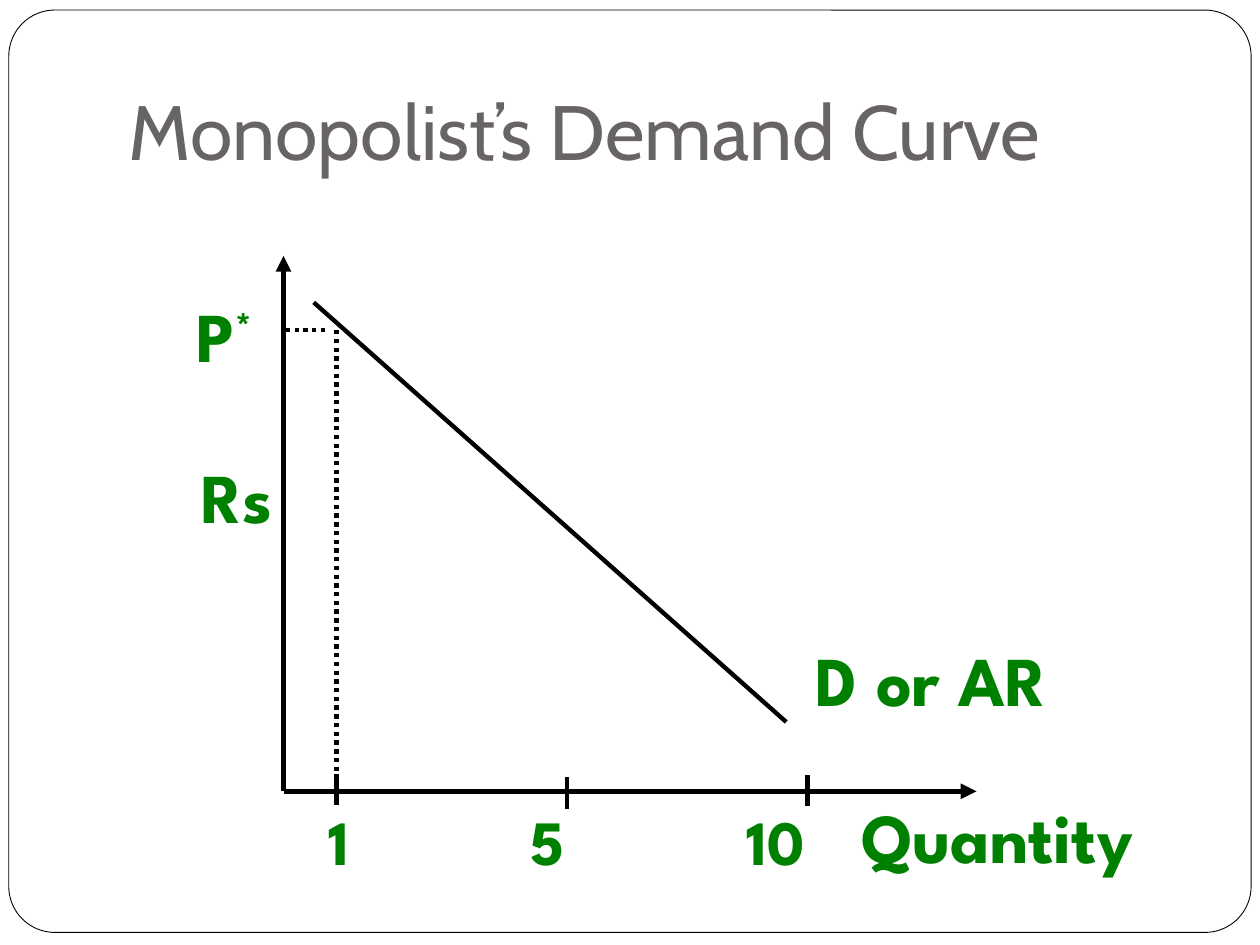
from dataclasses import dataclass

from lxml.etree import SubElement
from pptx import Presentation
from pptx.dml.color import RGBColor
from pptx.enum.dml import MSO_LINE
from pptx.enum.shapes import MSO_CONNECTOR, MSO_SHAPE
from pptx.enum.text import MSO_ANCHOR, PP_ALIGN
from pptx.oxml.ns import qn
from pptx.util import Inches, Pt


@dataclass(frozen=True)
class Theme:
    ink: RGBColor = RGBColor(0x00, 0x00, 0x00)
    paper: RGBColor = RGBColor(0xFF, 0xFF, 0xFF)
    title: RGBColor = RGBColor(0x69, 0x64, 0x64)
    label: RGBColor = RGBColor(0x00, 0x80, 0x00)
    title_font: str = "Cabin"
    label_font: str = "League Spartan"
    title_size: int = 44
    label_size: int = 40
    tick_size: int = 36
    frame_width: float = 0.5
    axis_width: float = 3
    curve_width: float = 2.5


class SlideBuilder:
    COLUMNS, ROWS = 100, 75

    def __init__(self, prs, theme):
        self.theme = theme
        self.cell_w = prs.slide_width / self.COLUMNS
        self.cell_h = prs.slide_height / self.ROWS
        self.s = prs.slides.add_slide(prs.slide_layouts[5])

    def point(self, col, row):
        return round(col * self.cell_w), round(row * self.cell_h)

    def box(self, col, row, cols, rows):
        return *self.point(col, row), *self.point(cols, rows)

    def style(self, r, font, size, color, bold=False):
        r.font.name = font
        r.font.size = Pt(size)
        r.font.bold = bold
        r.font.color.rgb = color

    def frame(self, col, row, cols, rows):
        sp = self.s.shapes.add_shape(
            MSO_SHAPE.ROUNDED_RECTANGLE, *self.box(col, row, cols, rows))
        sp.adjustments[0] = 0.05
        sp.shadow.inherit = False
        sp.fill.solid()
        sp.fill.fore_color.rgb = self.theme.paper
        sp.line.color.rgb = self.theme.ink
        sp.line.width = Pt(self.theme.frame_width)
        tree = self.s.shapes.element
        tree.remove(sp.element)
        tree.insert(2, sp.element)

    def title(self, text, col, row, cols, rows):
        sp = self.s.shapes.title
        sp.left, sp.top, sp.width, sp.height = self.box(col, row, cols, rows)
        tf = sp.text_frame
        tf.text = text
        tf.vertical_anchor = MSO_ANCHOR.BOTTOM
        tf.margin_bottom = Inches(0.1)
        p = tf.paragraphs[0]
        p.alignment = PP_ALIGN.LEFT
        self.style(p.runs[0], self.theme.title_font, self.theme.title_size,
                   self.theme.title)

    def line(self, start, end, width, dotted=False, arrow=False):
        sp = self.s.shapes.add_connector(
            MSO_CONNECTOR.STRAIGHT, *self.point(*start), *self.point(*end))
        sp.line.color.rgb = self.theme.ink
        sp.line.width = Pt(width)
        if dotted:
            sp.line.dash_style = MSO_LINE.ROUND_DOT
        if arrow:
            SubElement(sp.line._get_or_add_ln(), qn("a:tailEnd"), type="triangle")
        SubElement(sp.element.spPr, qn("a:effectLst"))

    def text(self, text, col, row, cols, rows, size, align, wrap=False):
        sp = self.s.shapes.add_textbox(*self.box(col, row, cols, rows))
        tf = sp.text_frame
        tf.text = text
        tf.word_wrap = wrap
        tf.vertical_anchor = MSO_ANCHOR.MIDDLE
        p = tf.paragraphs[0]
        p.alignment = align
        self.style(p.runs[0], self.theme.label_font, size, self.theme.label, True)
        return p

    def label(self, text, col, row, cols, superscript=""):
        p = self.text(text, col, row, cols, 7.7, self.theme.label_size,
                      PP_ALIGN.CENTER)
        if superscript:
            r = p.add_run()
            r.text = superscript
            self.style(r, self.theme.label_font, self.theme.label_size,
                       self.theme.label, True)
            r.font._element.set("baseline", "30000")

    def tick_labels(self, values, stops, col, row, cols, rows):
        p = self.text("\t".join(values), col, row, cols, rows,
                      self.theme.tick_size, PP_ALIGN.LEFT, wrap=True)
        tabs = SubElement(p._p.get_or_add_pPr(), qn("a:tabLst"))
        for stop in stops:
            SubElement(tabs, qn("a:tab"), pos=str(round(stop * self.cell_w)),
                       algn="l")


def main():
    prs = Presentation()
    prs.slide_width, prs.slide_height = Inches(10), Inches(7.5)
    theme = Theme()
    slide = SlideBuilder(prs, theme)
    origin = axis_col, axis_row = 22.5, 62.8
    price_row, unit_col = 26.2, 26.7

    slide.frame(0.7, 0.8, 98.6, 73.2)
    slide.title("Monopolist’s Demand Curve", 9.2, 2.5, 85.8, 12.5)

    for end in ((77.5, axis_row), (axis_col, 20.3)):
        slide.line(origin, end, theme.axis_width, arrow=True)
    slide.line((24.9, 24), (62.4, 57.3), theme.curve_width)
    slide.line((unit_col, price_row), (unit_col, 61.2), theme.curve_width,
               dotted=True)
    slide.line((25.8, price_row), (axis_col, price_row), theme.curve_width,
               dotted=True)
    for col, row in ((unit_col, 61.4), (45, 61.7), (64.1, 61.5)):
        slide.line((col, row), (col, row + 2.5), theme.curve_width)

    slide.label("P", 14.2, 22.7, 7.2, superscript="*")
    slide.label("Rs", 14.6, 35.5, 8.4)
    slide.label("D or AR", 62.7, 50, 22.4)
    slide.label("Quantity", 65.8, 62.5, 26.7)
    slide.tick_labels(("1", "5", "10"), (16, 33.2), 25.1, 63.2, 42, 7)

    prs.save("out.pptx")


if __name__ == "__main__":
    main()
